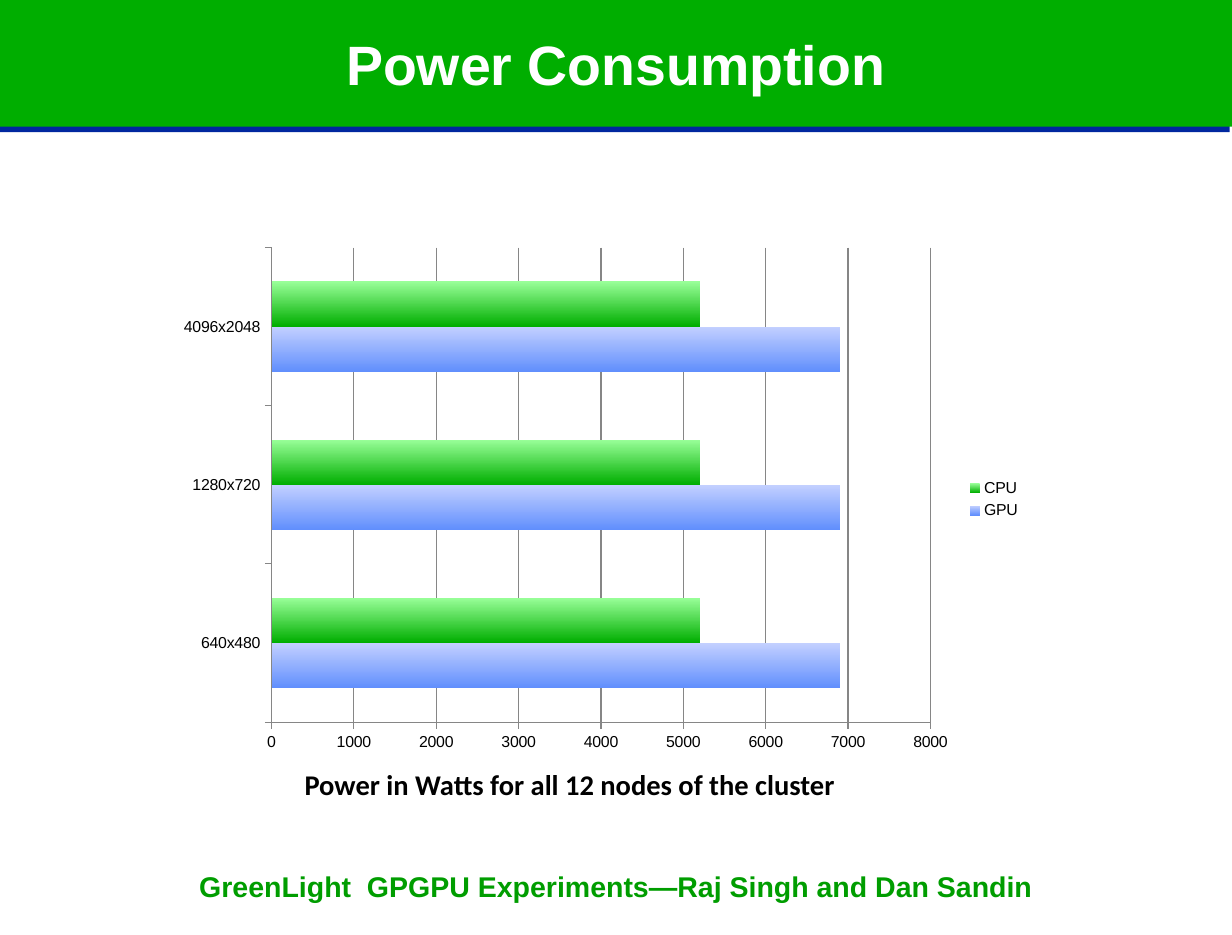
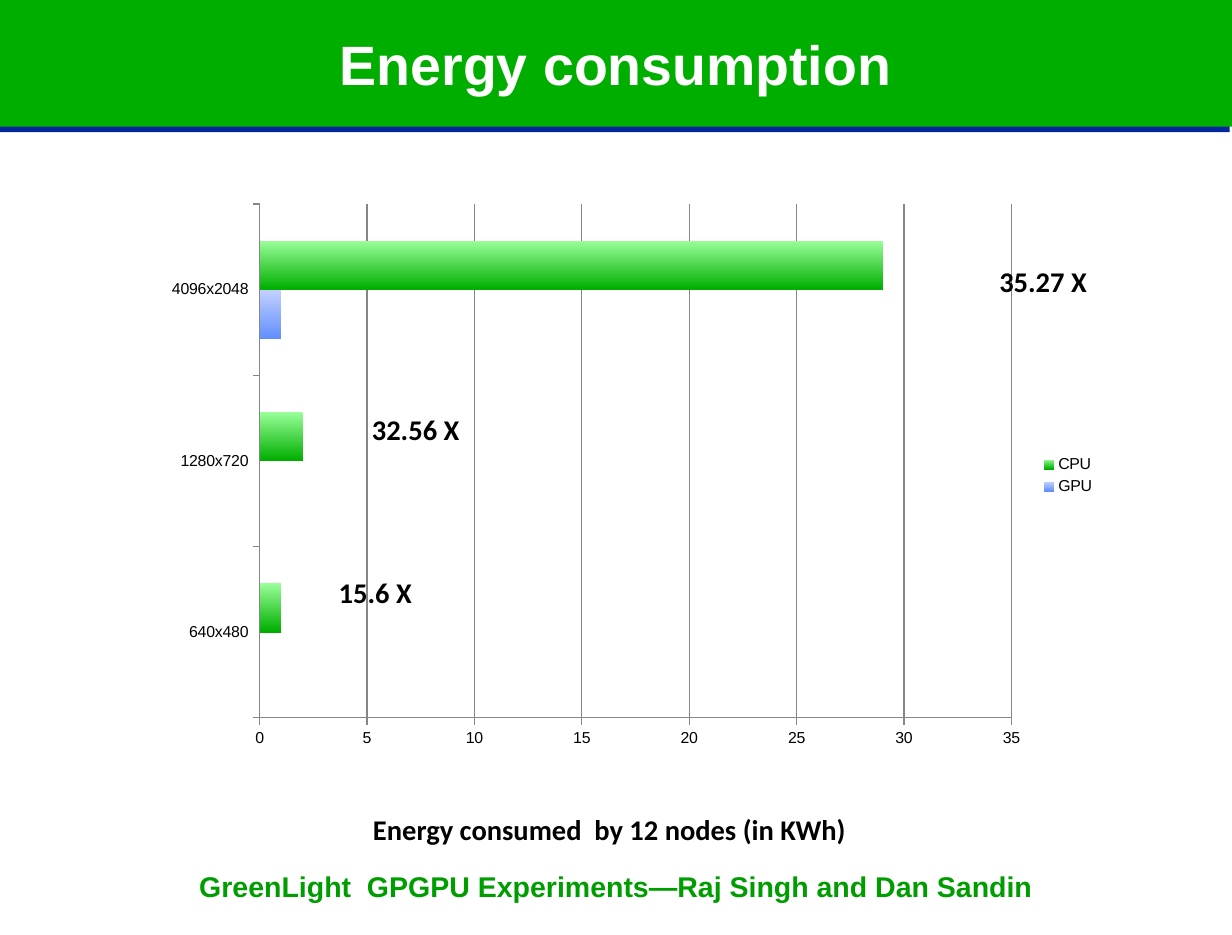
from dataclasses import dataclass

from pptx import Presentation
from pptx.chart.data import CategoryChartData
from pptx.dml.color import RGBColor
from pptx.enum.chart import XL_CHART_TYPE as ChartType
from pptx.enum.chart import XL_LEGEND_POSITION as LegendPosition
from pptx.enum.chart import XL_TICK_MARK as TickMark
from pptx.enum.shapes import MSO_SHAPE as ShapeKind
from pptx.enum.text import MSO_ANCHOR as Anchor
from pptx.enum.text import PP_ALIGN as Align
from pptx.shapes.base import BaseShape
from pptx.slide import Slide
from pptx.util import Pt

EMU_PER_PX = 9144  # 100 px to the inch
SLIDE_WIDTH, SLIDE_HEIGHT = 1080, 820
COLORS = {
    "title_band": "00AE00",
    "band_edge": "00279F",
    "title": "FFFFFF",
    "text": "000000",
    "credit": "009D00",
    "axis": "868686",
}
GRADIENTS = {"GPU": ("C3D0FF", "618FFD"), "CPU": ("99FF99", "00AE00")}
RESOLUTIONS = ("640x480", "1280x720", "4096x2048")
CREDIT = "GreenLight  GPGPU Experiments—Raj Singh and Dan Sandin"


@dataclass(frozen=True)
class Box:
    left: int
    top: int
    width: int
    height: int

    def emu(self) -> tuple[int, ...]:
        return tuple(px(n) for n in (self.left, self.top, self.width, self.height))


@dataclass(frozen=True)
class TextStyle:
    font: str
    size: int
    color: str
    align: Align = Align.LEFT
    anchor: Anchor = Anchor.TOP
    wrap: bool = True


@dataclass(frozen=True)
class Label:
    text: str
    box: Box


@dataclass(frozen=True)
class BarChart:
    box: Box
    series: dict[str, tuple[int, ...]]
    maximum: int
    step: int


@dataclass(frozen=True)
class ChartSlide:
    title: str
    chart: BarChart
    labels: tuple[Label, ...]


TITLE_STYLE = TextStyle("Arial", 35, "title", Align.CENTER, Anchor.MIDDLE)
CREDIT_STYLE = TextStyle("Arial", 18, "credit", Align.CENTER)
LABEL_STYLE = TextStyle("Calibri", 18, "text", wrap=False)

SLIDES = (
    ChartSlide(
        "Power Consumption",
        BarChart(
            Box(146, 208, 759, 460),
            {"GPU": (6900, 6900, 6900), "CPU": (5200, 5200, 5200)},
            maximum=8000,
            step=1000,
        ),
        (Label("Power in Watts for all 12 nodes of the cluster", Box(256, 668, 539, 41)),),
    ),
    ChartSlide(
        "Energy consumption",
        BarChart(
            Box(134, 169, 836, 496),
            {"GPU": (0, 0, 1), "CPU": (1, 2, 29)},
            maximum=35,
            step=5,
        ),
        (
            Label("Energy consumed  by 12 nodes (in KWh)", Box(316, 707, 441, 41)),
            Label("35.27 X", Box(865, 227, 99, 41)),
            Label("32.56 X", Box(315, 356, 99, 41)),
            Label("15.6 X", Box(286, 499, 87, 41)),
        ),
    ),
)


def px(length: int) -> int:
    return length * EMU_PER_PX


def rgb(name: str) -> RGBColor:
    return RGBColor.from_string(COLORS[name])


def add_band(slide: Slide, box: Box, color: str) -> BaseShape:
    band = slide.shapes.add_shape(ShapeKind.RECTANGLE, *box.emu())
    band.shadow.inherit = False
    band.fill.solid()
    band.fill.fore_color.rgb = rgb(color)
    band.line.fill.background()
    return band


def write(shape: BaseShape, text: str, style: TextStyle) -> None:
    frame = shape.text_frame
    frame.word_wrap = style.wrap
    frame.vertical_anchor = style.anchor
    frame.margin_left = frame.margin_right = px(11)
    frame.margin_top = frame.margin_bottom = px(5)
    paragraph = frame.paragraphs[0]
    paragraph.alignment = style.align
    run = paragraph.add_run()
    run.text = text
    run.font.name = style.font
    run.font.size = Pt(style.size)
    run.font.bold = True
    run.font.color.rgb = rgb(style.color)


def add_text(slide: Slide, text: str, box: Box, style: TextStyle) -> None:
    write(slide.shapes.add_textbox(*box.emu()), text, style)


def add_bar_chart(slide: Slide, content: BarChart) -> None:
    data = CategoryChartData()
    data.categories = RESOLUTIONS
    for name, values in content.series.items():
        data.add_series(name, values)
    chart = slide.shapes.add_chart(
        ChartType.BAR_CLUSTERED, *content.box.emu(), data
    ).chart
    chart.has_title = False
    chart.font.name = "Arial"
    chart.font.size = Pt(10)
    chart.font.color.rgb = rgb("text")
    chart.has_legend = True
    chart.legend.position = LegendPosition.RIGHT
    chart.legend.include_in_layout = False

    value_axis = chart.value_axis
    value_axis.minimum_scale = 0
    value_axis.maximum_scale = content.maximum
    value_axis.major_unit = content.step
    value_axis.has_major_gridlines = True
    for part in (value_axis, chart.category_axis, value_axis.major_gridlines):
        part.format.line.color.rgb = rgb("axis")
        part.format.line.width = Pt(0.7)
    for axis in (value_axis, chart.category_axis):
        axis.major_tick_mark = TickMark.OUTSIDE
        axis.minor_tick_mark = TickMark.NONE

    plot = chart.plots[0]
    plot.vary_by_categories = False
    plot.gap_width = 150
    plot.overlap = 0
    for series in plot.series:
        fill = series.format.fill
        fill.gradient()
        fill.gradient_angle = 270
        for stop, color in zip(fill.gradient_stops, GRADIENTS[series.name]):
            stop.color.rgb = RGBColor.from_string(color)


def add_chart_slide(presentation: Presentation, content: ChartSlide) -> None:
    slide = presentation.slides.add_slide(presentation.slide_layouts[6])
    add_band(slide, Box(0, 0, 1078, 116), "band_edge")
    title_band = add_band(slide, Box(0, 0, SLIDE_WIDTH, 111), "title_band")
    write(title_band, content.title, TITLE_STYLE)
    add_bar_chart(slide, content.chart)
    for label in content.labels:
        add_text(slide, label.text, label.box, LABEL_STYLE)
    add_text(slide, CREDIT, Box(0, 757, SLIDE_WIDTH, 46), CREDIT_STYLE)


def main() -> None:
    presentation = Presentation()
    presentation.slide_width = px(SLIDE_WIDTH)
    presentation.slide_height = px(SLIDE_HEIGHT)
    for content in SLIDES:
        add_chart_slide(presentation, content)
    presentation.save("out.pptx")


if __name__ == "__main__":
    main()
